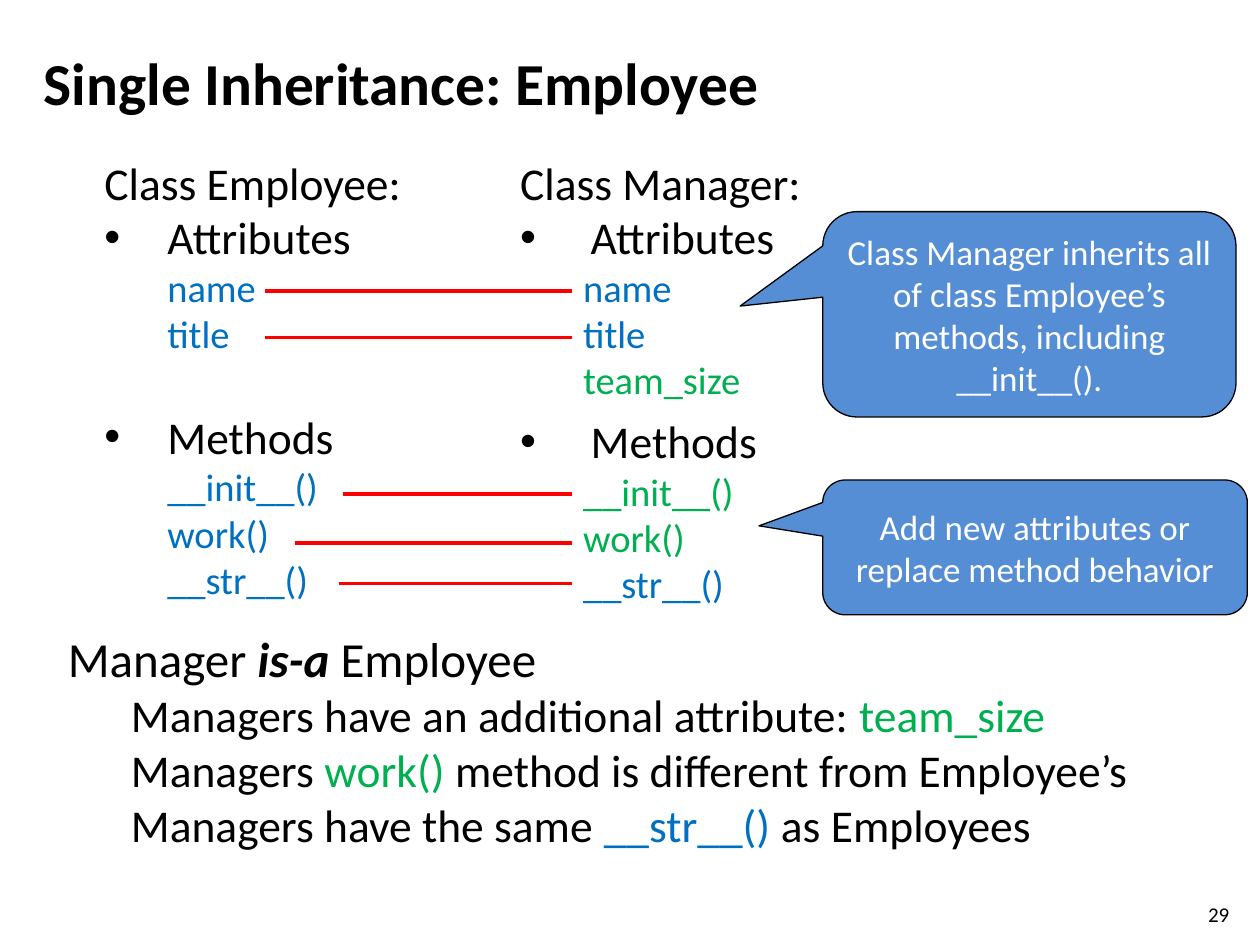
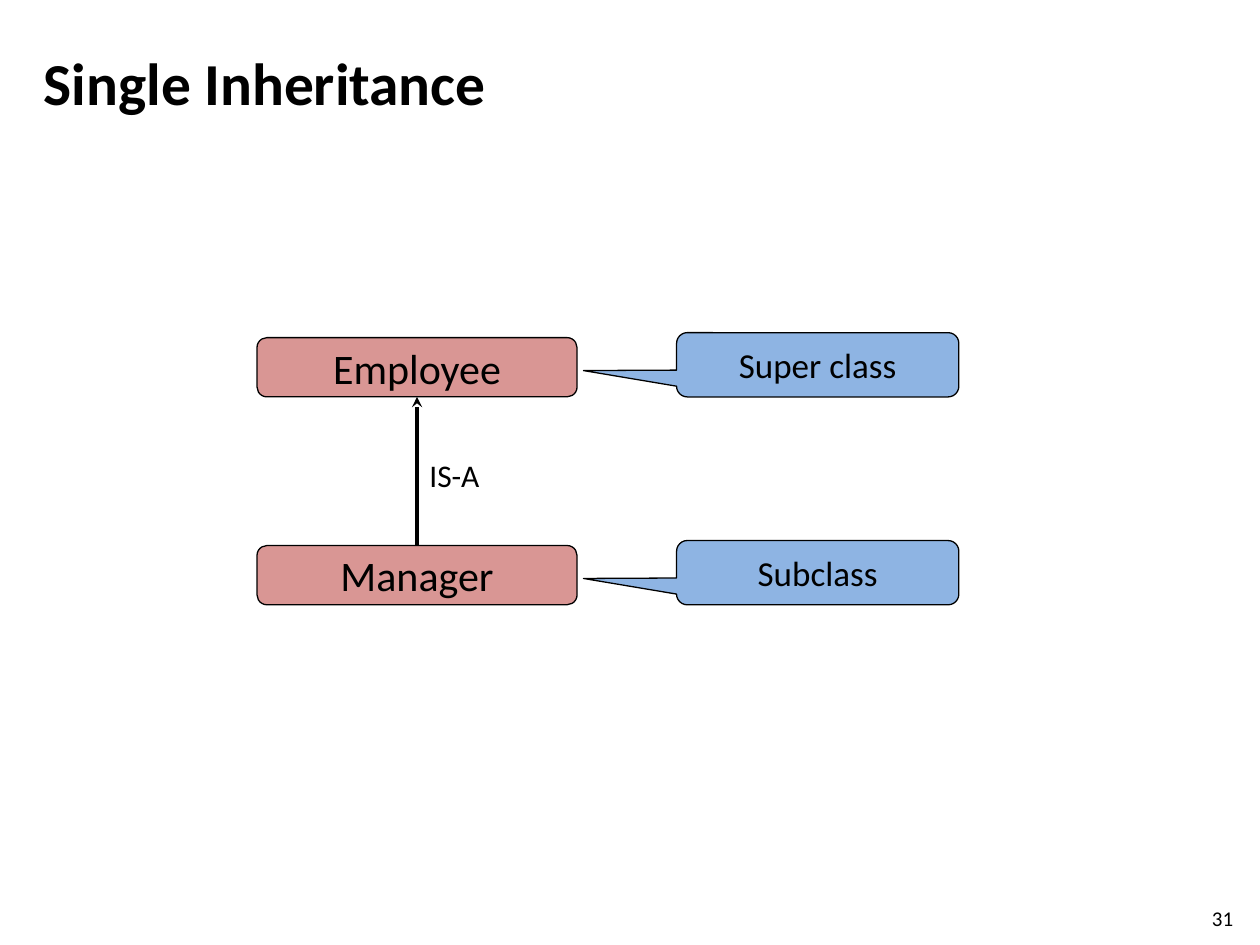
from lxml.etree import SubElement
from pptx import Presentation
from pptx.dml.color import RGBColor
from pptx.enum.shapes import MSO_CONNECTOR, MSO_SHAPE
from pptx.enum.text import MSO_ANCHOR, PP_ALIGN
from pptx.oxml.ns import qn
from pptx.util import Inches, Pt

FONT = "Calibri"
BLACK, WHITE, RED = "000000", "FFFFFF", "FF0000"
BLUE, GREEN = "0070C0", "00B050"
DEEP, PALE, ROSE = "558ED5", "8EB4E3", "D99694"


def color(code):
    return RGBColor.from_string(code)


def add_run(para, text, size, ink=BLACK, bold=False, slant=False):
    run = para.add_run()
    run.text = text
    font = run.font
    font.name, font.size = FONT, Pt(size)
    font.bold, font.italic = bold, slant
    font.color.rgb = color(ink)


def next_para(frame):
    first = frame.paragraphs[0]
    return frame.add_paragraph() if first.runs else first


def add_line(frame, runs, size, left=0, hang=0, after=0):
    para = next_para(frame)
    if after:
        para.space_after = Pt(after)
    props = para._p.get_or_add_pPr()
    props.set("marL", str(Inches(left)))
    props.set("indent", str(-Inches(hang)))
    if hang:
        SubElement(props, qn("a:buFont")).set("typeface", "Arial")
        SubElement(props, qn("a:buChar")).set("char", "•")
    for text, *style in runs:
        add_run(para, text, size, *style)


def add_box(slide, left, top, width, height, anchor=MSO_ANCHOR.TOP):
    box = slide.shapes.add_textbox(Inches(left), Inches(top), Inches(width), Inches(height))
    frame = box.text_frame
    frame.word_wrap = True
    frame.vertical_anchor = anchor
    return frame


def add_shape(slide, kind, place, text, size, fill, ink=BLACK, tip=()):
    shape = slide.shapes.add_shape(kind, *map(Inches, place))
    shape.shadow.inherit = False
    shape.fill.solid()
    shape.fill.fore_color.rgb = color(fill)
    shape.line.color.rgb = color(BLACK)
    shape.line.width = Pt(0.75)
    for spot, value in enumerate(tip):
        shape.adjustments[spot] = value
    frame = shape.text_frame
    frame.word_wrap = True
    frame.vertical_anchor = MSO_ANCHOR.MIDDLE
    para = frame.paragraphs[0]
    para.alignment = PP_ALIGN.CENTER
    add_run(para, text, size, ink)


def add_callout(slide, place, text, fill, ink, tip):
    add_shape(slide, MSO_SHAPE.ROUNDED_RECTANGULAR_CALLOUT, place, text, 20, fill, ink, tip)


def add_link(slide, start, end, ink, arrow=False):
    link = slide.shapes.add_connector(MSO_CONNECTOR.STRAIGHT, *map(Inches, start + end))
    link.line.color.rgb = color(ink)
    link.line.width = Pt(2)
    if arrow:
        SubElement(link.line._get_or_add_ln(), qn("a:tailEnd")).set("type", "stealth")
    SubElement(link._element.spPr, qn("a:effectLst"))


def add_page(deck, title, number, left, top):
    slide = deck.slides.add_slide(deck.slide_layouts[6])
    head = add_box(slide, 0.25, 0.3, 8.67, 0.7, MSO_ANCHOR.MIDDLE)
    add_line(head, [(title, BLACK, True)], 34)
    add_line(add_box(slide, left, top, 0.4, 0.24), [(number,)], 12)
    return slide


def add_class(slide, place, name, hang, groups):
    frame = add_box(slide, *place)
    add_line(frame, [(name,)], 26)
    for label, members, gap in groups:
        add_line(frame, [(label,)], 26, hang, hang)
        for member in members:
            after = gap if member is members[-1] else 0
            add_line(frame, [member], 22, 0.5, after=after)


def detail_page(deck):
    slide = add_page(deck, "Single Inheritance: Employee", "29", 9.49, 7.11)
    notes = add_box(slide, 0.44, 4.94, 9.25, 1.41)
    add_line(notes, [("Manager ",), ("is-a", BLACK, True, True), (" Employee",)], 28)
    for runs in (
        [("Managers have an additional attribute: ",), ("team_size", GREEN)],
        [("Managers ",), ("work() ", GREEN), ("method is different from Employee’s",)],
        [("Managers have the same ",), ("__str__() ", BLUE), ("as Employees",)],
    ):
        add_line(notes, runs, 26, 0.5)

    add_class(slide, (0.73, 1.18, 2.85, 3.84), "Class Employee:", 0.5, [
        ("Attributes", [("name", BLUE), ("title", BLUE)], 30),
        ("Methods", [("__init__()", BLUE), ("work()", BLUE), ("__str__()", BLUE)], 12),
    ])
    add_class(slide, (4.03, 1.18, 4.01, 3.71), "Class Manager:", 0.56, [
        ("Attributes", [("name", BLUE), ("title", BLUE), ("team_size", GREEN)], 6),
        ("Methods", [("__init__()", GREEN), ("work()", GREEN), ("__str__()", BLUE)], 0),
    ])
    for left, level in ((2.1, 2.31), (2.1, 2.68), (2.72, 3.92), (2.34, 4.31), (2.69, 4.63)):
        add_link(slide, (left, level), (4.54, level), RED)

    add_callout(slide, (6.53, 1.68, 3.28, 1.63),
                "Class Manager inherits all of class Employee’s methods, including __init__().",
                DEEP, WHITE, (-0.7, -0.04))
    add_callout(slide, (6.53, 3.81, 3.37, 1.07),
                "Add new attributes or replace method behavior",
                DEEP, WHITE, (-0.65, -0.16))


def tree_page(deck):
    slide = add_page(deck, "Single Inheritance", "31", 9.52, 7.14)
    for top, name, role in ((2.68, "Employee", "Super class"), (4.33, "Manager", "Subclass")):
        add_shape(slide, MSO_SHAPE.ROUNDED_RECTANGLE, (2.04, top, 2.54, 0.47), name, 24, ROSE)
        add_callout(slide, (5.37, top - 0.04, 2.24, 0.51), role, PALE, BLACK, (-0.83, 0.09))
    add_link(slide, (3.31, 4.33), (3.31, 3.15), BLACK, True)
    add_line(add_box(slide, 3.31, 3.57, 1.27, 0.4), [("IS-A",)], 18)


def main():
    deck = Presentation()
    deck.slide_width, deck.slide_height = Inches(10), Inches(7.5)
    detail_page(deck)
    tree_page(deck)
    deck.save("out.pptx")


if __name__ == "__main__":
    main()
